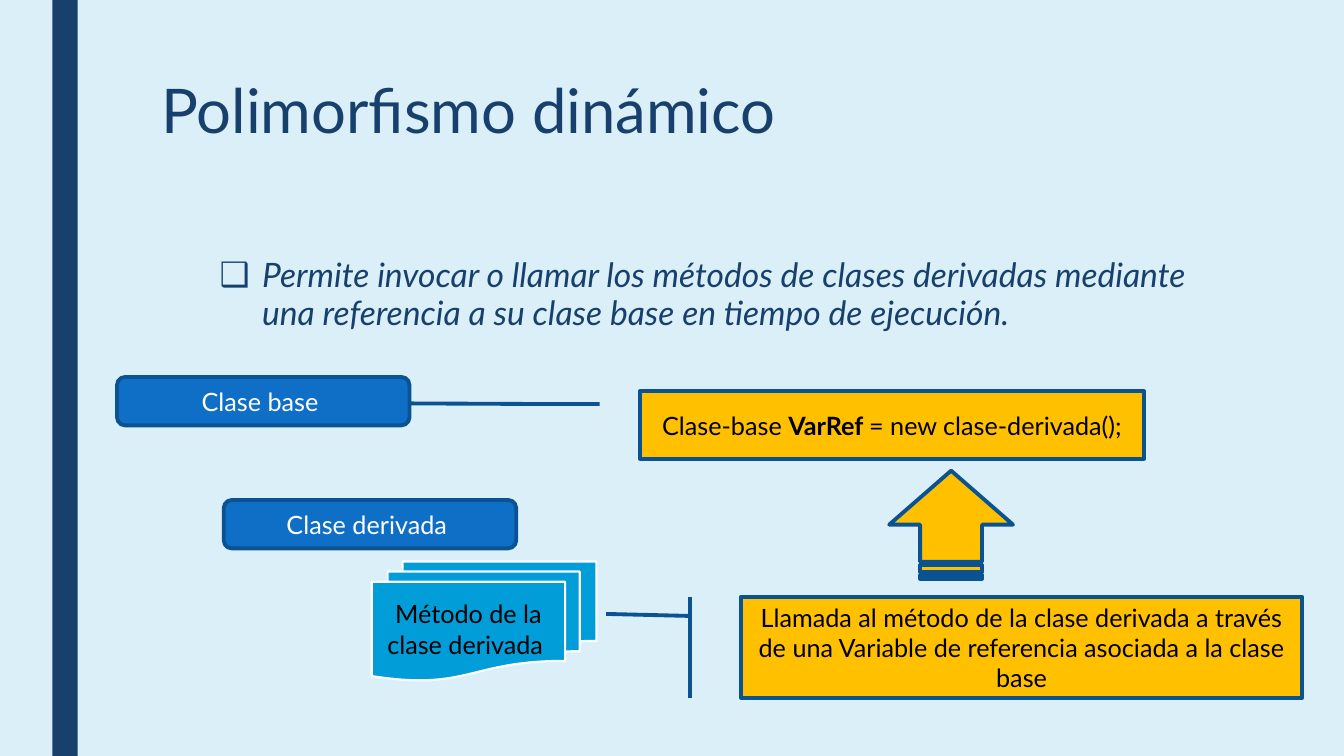
import pptx
import pptx.dml.color
import pptx.enum.shapes
import pptx.enum.text
import pptx.oxml
import pptx.oxml.ns
import pptx.util

Cm = pptx.util.Cm
Pt = pptx.util.Pt
ShapeType = pptx.enum.shapes.MSO_SHAPE
Align = pptx.enum.text.PP_ALIGN
Anchor = pptx.enum.text.MSO_ANCHOR

NAVY = "17406D"
BLUE = "0F6FC6"
DARK_BLUE = "0B5292"
CYAN = "009DD9"
AMBER = "FFC000"
WHITE = "FFFFFF"
BLACK = "000000"
PALE_BLUE = "DBEFF9"

TITLE_FONT = {"name": "Lato", "size": Pt(44)}
BODY_FONT = {"name": "Lato", "size": Pt(24), "italic": True}
LABEL_FONT = {"name": "Lato", "size": Pt(18)}


def color(value):
    return pptx.dml.color.RGBColor.from_string(value)


def apply_format(target, values):
    for name, value in values.items():
        setattr(target, name, value)


def paint(fill, value):
    fill.solid()
    fill.fore_color.rgb = color(value)


def add_run(paragraph, text, font_format, font_color):
    run = paragraph.add_run()
    run.text = text
    apply_format(run.font, font_format)
    run.font.color.rgb = color(font_color)


def place(shape, box):
    apply_format(shape, dict(zip(("left", "top", "width", "height"), map(Cm, box))))


def fill_placeholder(shape, box, text, font_format, paragraph_format):
    place(shape, box)
    apply_format(shape.text_frame, {
        "auto_size": pptx.enum.text.MSO_AUTO_SIZE.NONE,
        "vertical_anchor": Anchor.TOP,
        "word_wrap": True,
    })
    paragraph = shape.text_frame.paragraphs[0]
    apply_format(paragraph, paragraph_format)
    add_run(paragraph, text, font_format, NAVY)
    return paragraph


def set_bullet(paragraph, character, margin, indent):
    properties = paragraph._p.get_or_add_pPr()
    properties.set("marL", str(margin))
    properties.set("indent", str(indent))
    namespace = pptx.oxml.ns.nsdecls("a")
    properties.append(pptx.oxml.parse_xml(f'<a:buChar {namespace} char="{character}"/>'))


def add_figure(slide, kind, box, fill, line=None, line_width=2.75, adjustments=()):
    shape = slide.shapes.add_shape(kind, *map(Cm, box))
    shape.shadow.inherit = False
    paint(shape.fill, fill)
    if line:
        paint(shape.line.fill, line)
        shape.line.width = Pt(line_width)
    else:
        shape.line.fill.background()
    for index, value in enumerate(adjustments):
        shape.adjustments[index] = value
    return shape


def add_label(shape, pieces, font_color):
    apply_format(shape.text_frame, {"word_wrap": True, "vertical_anchor": Anchor.MIDDLE})
    paragraph = shape.text_frame.paragraphs[0]
    paragraph.alignment = Align.CENTER
    for text, bold in pieces:
        add_run(paragraph, text, {**LABEL_FONT, "bold": bold}, font_color)


def add_class_box(slide, left, top, text):
    shape = add_figure(slide, ShapeType.ROUNDED_RECTANGLE, (left, top, 7.37, 1.22), BLUE, DARK_BLUE)
    add_label(shape, [(text, False)], WHITE)


def add_callout(slide, kind, box, adjustments, pieces):
    shape = add_figure(slide, kind, box, AMBER, DARK_BLUE, adjustments=adjustments)
    add_label(shape, pieces, BLACK)


def main():
    presentation = pptx.Presentation()
    apply_format(presentation, {"slide_width": Cm(33.87), "slide_height": Cm(19.05)})
    slide = presentation.slides.add_slide(presentation.slide_layouts[1])
    paint(slide.background.fill, PALE_BLUE)
    add_figure(slide, ShapeType.RECTANGLE, (1.32, 0, 0.64, 19.05), NAVY)

    fill_placeholder(slide.shapes.title, (3.81, 1.9, 26.67, 4.11), "Polimorfismo dinámico ",
                     TITLE_FONT, {"alignment": Align.LEFT, "line_spacing": 0.89})
    definition = fill_placeholder(
        slide.placeholders[1], (3.81, 6.35, 26.67, 9.96),
        "Permite invocar o llamar los métodos de clases derivadas mediante "
        "una referencia a su clase base en tiempo de ejecución. ",
        BODY_FONT,
        {"level": 1, "line_spacing": 0.94, "space_before": Pt(5), "space_after": Pt(2)})
    set_bullet(definition, "❑", Cm(2.54), Cm(-1.07))

    add_class_box(slide, 2.95, 9.5, "Clase base ")
    add_class_box(slide, 5.64, 12.6, "Clase derivada ")

    method = add_figure(slide, ShapeType.FLOWCHART_MULTIDOCUMENT, (9.37, 14.15, 5.66, 3),
                        CYAN, WHITE, 1.5)
    add_label(method, [("Método de la clase derivada ", False)], BLACK)

    add_callout(slide, ShapeType.LINE_CALLOUT_1_BORDER_AND_ACCENT_BAR,
                (18.67, 15.04, 14.15, 2.54), (0.19, -0.09, 0.17, -0.24),
                [("Llamada al método de la clase derivada a través de una Variable "
                  "de referencia asociada a la clase base", False)])
    add_callout(slide, ShapeType.LINE_CALLOUT_2,
                (16.13, 9.86, 12.7, 1.7), (0.19, -0.08, 0.19, -0.17, 0.18, -0.46),
                [("Clase-base ", False), ("VarRef ", True), ("= new clase-derivada();", False)])

    arrow = add_figure(slide, ShapeType.STRIPED_RIGHT_ARROW, (22.61, 11.66, 2.72, 3.12),
                       AMBER, DARK_BLUE)
    arrow.rotation = 270

    presentation.save("out.pptx")


main()
